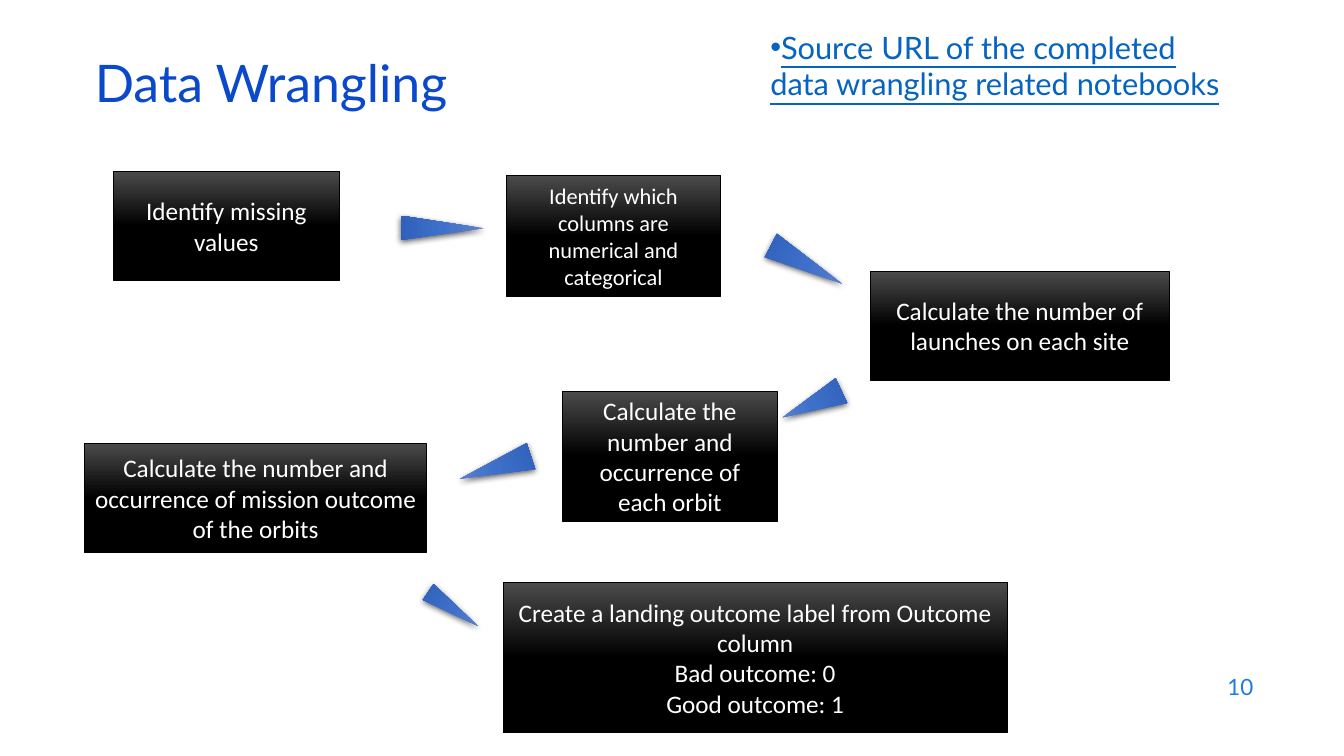
"""Build the Data Wrangling flow slide."""
from copy import deepcopy
from typing import NamedTuple

from lxml import etree
from pptx import Presentation
from pptx.dml.color import RGBColor
from pptx.enum.shapes import MSO_SHAPE
from pptx.enum.text import MSO_ANCHOR, MSO_AUTO_SIZE, PP_ALIGN
from pptx.oxml.ns import qn
from pptx.util import Inches, Pt

RECTANGLE = MSO_SHAPE.RECTANGLE
TRIANGLE = MSO_SHAPE.ISOSCELES_TRIANGLE
MIDDLE, TOP = MSO_ANCHOR.MIDDLE, MSO_ANCHOR.TOP
LEFT, CENTER, RIGHT = PP_ALIGN.LEFT, PP_ALIGN.CENTER, PP_ALIGN.RIGHT
NO_AUTOFIT = MSO_AUTO_SIZE.NONE

WHITE = RGBColor(0xFF, 0xFF, 0xFF)
BLACK = RGBColor(0x00, 0x00, 0x00)
CHARCOAL = RGBColor(0x4B, 0x4B, 0x4B)
TITLE_BLUE = RGBColor(0x0B, 0x49, 0xCB)
LINK_BLUE = RGBColor(0x05, 0x63, 0xC1)
NUMBER_BLUE = RGBColor(0x1C, 0x7D, 0xDB)
STEP_GRADIENT = (CHARCOAL, BLACK, BLACK)
ARROW_GRADIENT = (
    RGBColor(0x61, 0x83, 0xCB),
    RGBColor(0x3E, 0x70, 0xCA),
    RGBColor(0x30, 0x62, 0xBB),
)
HEADING_FONT, STEP_FONT = "Lato", "Calibri"


class Step(NamedTuple):
    text: str
    left: float
    top: float
    width: float
    height: float
    size: int = 18


class Arrow(NamedTuple):
    left: float
    top: float
    width: float
    height: float
    rotation: float
    apex: float = 0.521


STEPS = [
    Step("Identify missing values", 1.12, 1.7, 2.25, 1.08),
    Step("Identify which columns are numerical and categorical", 5.02, 1.74, 2.13, 1.2, 16),
    Step("Calculate the number of launches on each site", 8.63, 2.69, 2.97, 1.08),
    Step("Calculate the number and occurrence of each orbit", 5.58, 3.88, 2.13, 1.29),
    Step("Calculate the number and occurrence of mission outcome of the orbits",
         0.84, 4.4, 3.39, 1.08),
    Step("Create a landing outcome label from Outcome column\nBad outcome: 0\nGood outcome: 1",
         4.99, 5.78, 5, 1.49),
]
ARROWS = [
    Arrow(4.27, 1.85, 0.24, 0.82, 90),
    Arrow(7.87, 2.22, 0.26, 0.8, 117.5, 0.54),
    Arrow(7.92, 3.69, 0.27, 0.64, 245),
    Arrow(4.78, 4.27, 0.27, 0.74, 251.9),
    Arrow(4.4, 5.74, 0.19, 0.6, 124),
]


def place(shape, left: float, top: float, width: float, height: float) -> None:
    shape.left, shape.top = Inches(left), Inches(top)
    shape.width, shape.height = Inches(width), Inches(height)


def add_bullet(paragraph) -> None:
    properties = paragraph._p.get_or_add_pPr()
    properties.set("marL", "0")
    properties.set("indent", "0")
    etree.SubElement(properties, qn("a:buFont"), typeface="Arial")
    etree.SubElement(properties, qn("a:buChar"), char="•")


def write_text(shape, text: str, font: str, size: int, color: RGBColor,
               alignment=LEFT, anchor=MIDDLE, bulleted: bool = False) -> None:
    frame = shape.text_frame
    frame.text = text
    frame.word_wrap = True
    frame.auto_size = NO_AUTOFIT
    frame.vertical_anchor = anchor
    for paragraph in frame.paragraphs:
        paragraph.alignment = alignment
        paragraph.space_before = Pt(0)
        if bulleted:
            add_bullet(paragraph)
        paragraph.font.name = font
        paragraph.font.size = Pt(size)
        paragraph.font.color.rgb = color


def fill_gradient(shape, colors: tuple[RGBColor, ...]) -> None:
    shape.fill.gradient()
    shape.fill.gradient_angle = 270
    stop_list = shape.element.spPr.find(qn("a:gradFill")).find(qn("a:gsLst"))
    stop_list.append(deepcopy(stop_list[-1]))
    for index, (stop, color) in enumerate(zip(shape.fill.gradient_stops, colors)):
        stop.position = index / (len(colors) - 1)
        stop.color.rgb = color


def add_shadow(shape) -> None:
    effects = shape.element.spPr.find(qn("a:effectLst"))
    shadow = etree.SubElement(effects, qn("a:outerShdw"), blurRad="57150", dist="19050",
                              dir="5400000", algn="ctr", rotWithShape="0")
    color = etree.SubElement(shadow, qn("a:srgbClr"), val=str(BLACK))
    etree.SubElement(color, qn("a:alpha"), val="63000")


def add_step(slide, step: Step) -> None:
    shape = slide.shapes.add_shape(RECTANGLE, 0, 0, 0, 0)
    place(shape, step.left, step.top, step.width, step.height)
    fill_gradient(shape, STEP_GRADIENT)
    shape.line.color.rgb = BLACK
    shape.line.width = Pt(0.5)
    shape.shadow.inherit = False
    write_text(shape, step.text, STEP_FONT, step.size, WHITE, CENTER)


def add_arrow(slide, arrow: Arrow) -> None:
    shape = slide.shapes.add_shape(TRIANGLE, 0, 0, 0, 0)
    place(shape, arrow.left, arrow.top, arrow.width, arrow.height)
    shape.rotation = arrow.rotation
    shape.adjustments[0] = arrow.apex
    fill_gradient(shape, ARROW_GRADIENT)
    shape.line.fill.background()
    shape.shadow.inherit = False
    add_shadow(shape)


def add_headings(slide) -> None:
    title = slide.shapes.title
    place(title, 0.84, 0.59, 11.5, 0.6)
    write_text(title, "Data Wrangling", HEADING_FONT, 37, TITLE_BLUE)
    title.text_frame.paragraphs[0].line_spacing = 0.7

    body = slide.placeholders[1]
    place(body, 7.54, 0.23, 4.81, 1.53)
    write_text(body, "Source URL of the completed data wrangling related notebooks",
               HEADING_FONT, 22, LINK_BLUE, anchor=TOP, bulleted=True)
    paragraph = body.text_frame.paragraphs[0]
    paragraph.line_spacing = 1.0
    paragraph.font.underline = True

    number = slide.shapes.add_textbox(0, 0, 0, 0)
    place(number, 9.53, 6.59, 3, 0.44)
    write_text(number, "10", HEADING_FONT, 16, NUMBER_BLUE, RIGHT)


def main() -> None:
    presentation = Presentation()
    presentation.slide_width = Inches(13.33)
    presentation.slide_height = Inches(7.5)
    slide = presentation.slides.add_slide(presentation.slide_layouts[1])
    add_headings(slide)
    for step in STEPS:
        add_step(slide, step)
    for arrow in ARROWS:
        add_arrow(slide, arrow)
    presentation.save("out.pptx")


if __name__ == "__main__":
    main()
